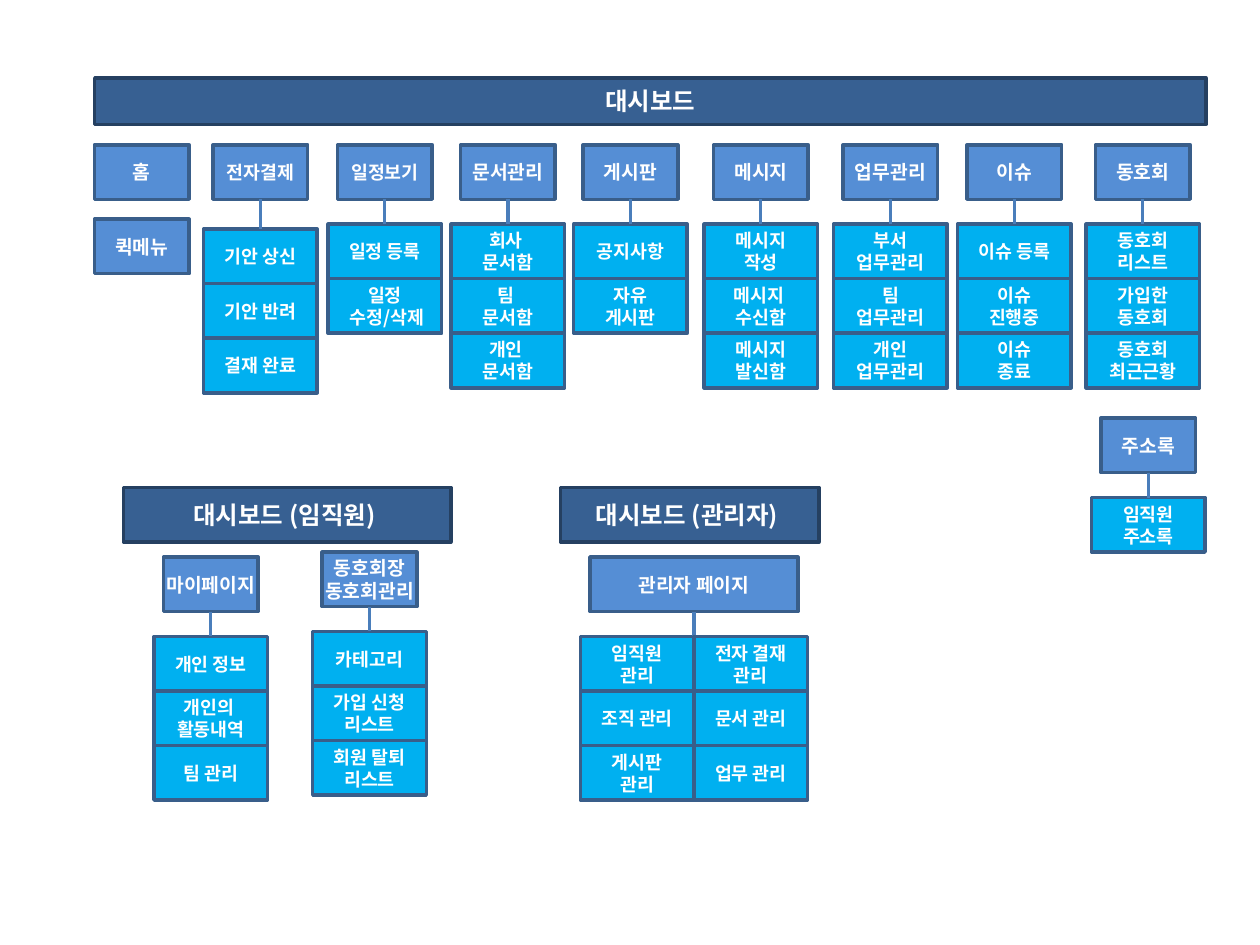
from lxml.etree import SubElement
from pptx import Presentation
from pptx.dml.color import RGBColor
from pptx.enum.shapes import MSO_CONNECTOR as Connector, MSO_SHAPE as Shape
from pptx.enum.text import MSO_ANCHOR as Anchor, PP_ALIGN as Align
from pptx.oxml.ns import qn
from pptx.util import Cm, Pt

FONT = "Noto Sans CJK KR"
COLORS = {
    "bar": "376092", "bar_line": "254061",
    "menu": "558ED5", "item": "00B0F0", "box_line": "395E8A",
    "link": "4A7EBB", "text": "FFFFFF",
}

# Box sizes and gaps in cm
MENU_W, ITEM_W, BOX_H = 1.91, 2.29, 1.1
LINK_GAP = 0.5
MENU_TOP = 2.92
BOTTOM, LEFT, RIGHT, TOP = 2, 1, 3, 0

# Bars: title, left, top, width, height
BARS = [
    ("대시보드", 1.91, 1.57, 22.4, 0.94),
    ("대시보드 (임직원) ", 2.49, 9.83, 6.6, BOX_H),
    ("대시보드 (관리자) ", 11.3, 9.83, 5.21, BOX_H),
]

# Menus without items: title, centre, top
SINGLE_MENUS = [("홈", 2.86, MENU_TOP), ("퀵메뉴", 2.86, 4.42)]

# Menus with items: title, size, centre, top, gap to the items, items
MENUS = [
    ("전자결제", 10.5, 5.25, MENU_TOP, 0.6, ["기안 상신", "기안 반려", "결재 완료"]),
    ("일정보기", 10.5, 7.76, MENU_TOP, LINK_GAP, ["일정 등록", "일정\n 수정/삭제"]),
    ("문서관리", 11, 10.24, MENU_TOP, LINK_GAP,
     ["회사 \n문서함", "팀 \n문서함", "개인 \n문서함"]),
    ("게시판", 11, 12.71, MENU_TOP, LINK_GAP, ["공지사항", "자유\n게시판"]),
    ("메시지", 11, 15.34, MENU_TOP, LINK_GAP,
     ["메시지\n작성", "메시지 \n수신함", "메시지\n발신함"]),
    ("업무관리", 11, 17.95, MENU_TOP, LINK_GAP,
     ["부서\n업무관리", "팀\n업무관리", "개인\n업무관리"]),
    ("이슈", 11, 20.45, MENU_TOP, LINK_GAP, ["이슈 등록", "이슈\n진행중", "이슈\n종료"]),
    ("동호회", 11, 23.04, MENU_TOP, LINK_GAP,
     ["동호회\n리스트", "가입한\n동호회", "동호회\n최근근황"]),
    ("주소록", 11, 23.15, 8.43, LINK_GAP, ["임직원\n주소록"]),
    ("마이페이지", 11, 4.25, 11.23, LINK_GAP, ["개인 정보", "개인의 \n활동내역", "팀 관리"]),
    ("동호회장\n동호회관리", 11, 7.45, 11.13, LINK_GAP,
     ["카테고리", "가입 신청\n리스트", "회원 탈퇴\n리스트"]),
]

# Administrator page with two columns of items
ADMIN_CENTRE, ADMIN_TOP, ADMIN_W = 13.99, 11.23, 4.19
ADMIN_COLUMNS = [
    ["임직원\n관리", "조직 관리", "게시판\n관리"],
    ["전자 결재\n관리", "문서 관리", "업무 관리"],
]


def color(name):
    return RGBColor.from_string(COLORS[name])


def add_box(slide, text, left, top, width, height, fill, line, size, wrap=True):
    box = slide.shapes.add_shape(
        Shape.RECTANGLE, Cm(left), Cm(top), Cm(width), Cm(height))
    box.shadow.inherit = False
    box.fill.solid()
    box.fill.fore_color.rgb = color(fill)
    box.line.color.rgb = color(line)
    box.line.width = Pt(2)
    frame = box.text_frame
    frame.word_wrap = wrap
    frame.vertical_anchor = Anchor.MIDDLE
    frame.text = text
    for paragraph in frame.paragraphs:
        paragraph.alignment = Align.CENTER
        font = paragraph.font
        font.size = Pt(size)
        font.bold = True
        font.color.rgb = color("text")
        font.name = FONT
        # Hangul takes the East Asian typeface
        defaults = paragraph._p.pPr.find(qn("a:defRPr"))
        SubElement(defaults, qn("a:ea")).set("typeface", FONT)
    return box


def add_menu(slide, title, centre, top, size=11, width=MENU_W):
    return add_box(slide, title, centre - width / 2, top, width, BOX_H,
                   "menu", "box_line", size, wrap=False)


def add_items(slide, items, centre, top):
    return [
        add_box(slide, item, centre - ITEM_W / 2, top + row * BOX_H,
                ITEM_W, BOX_H, "item", "box_line", 10.5)
        for row, item in enumerate(items)
    ]


def add_link(slide, menu, item, item_side=TOP):
    link = slide.shapes.add_connector(Connector.STRAIGHT, 0, 0, 0, 0)
    link.begin_connect(menu, BOTTOM)
    link.end_connect(item, item_side)
    link.line.color.rgb = color("link")
    link.line.width = Pt(1.75)
    SubElement(link._element.spPr, qn("a:effectLst"))


def add_admin_page(slide):
    page = add_menu(slide, "관리자 페이지", ADMIN_CENTRE, ADMIN_TOP, width=ADMIN_W)
    items_top = ADMIN_TOP + BOX_H + LINK_GAP
    left_items, right_items = ADMIN_COLUMNS
    staff = add_items(slide, left_items, ADMIN_CENTRE - ITEM_W / 2, items_top)[0]
    add_link(slide, page, staff, RIGHT)
    add_items(slide, right_items, ADMIN_CENTRE + ITEM_W / 2, items_top)


def main():
    deck = Presentation()
    deck.slide_width, deck.slide_height = Cm(25.4), Cm(19.05)
    slide = deck.slides.add_slide(deck.slide_layouts[6])

    # Dashboard bars
    for title, left, top, width, height in BARS:
        add_box(slide, title, left, top, width, height, "bar", "bar_line", 14)

    # Menus and their items
    for title, centre, top in SINGLE_MENUS:
        add_menu(slide, title, centre, top)
    for title, size, centre, top, gap, items in MENUS:
        menu = add_menu(slide, title, centre, top, size)
        first_item = add_items(slide, items, centre, top + BOX_H + gap)[0]
        add_link(slide, menu, first_item)

    # Administrator page
    add_admin_page(slide)

    deck.save("out.pptx")


if __name__ == "__main__":
    main()
